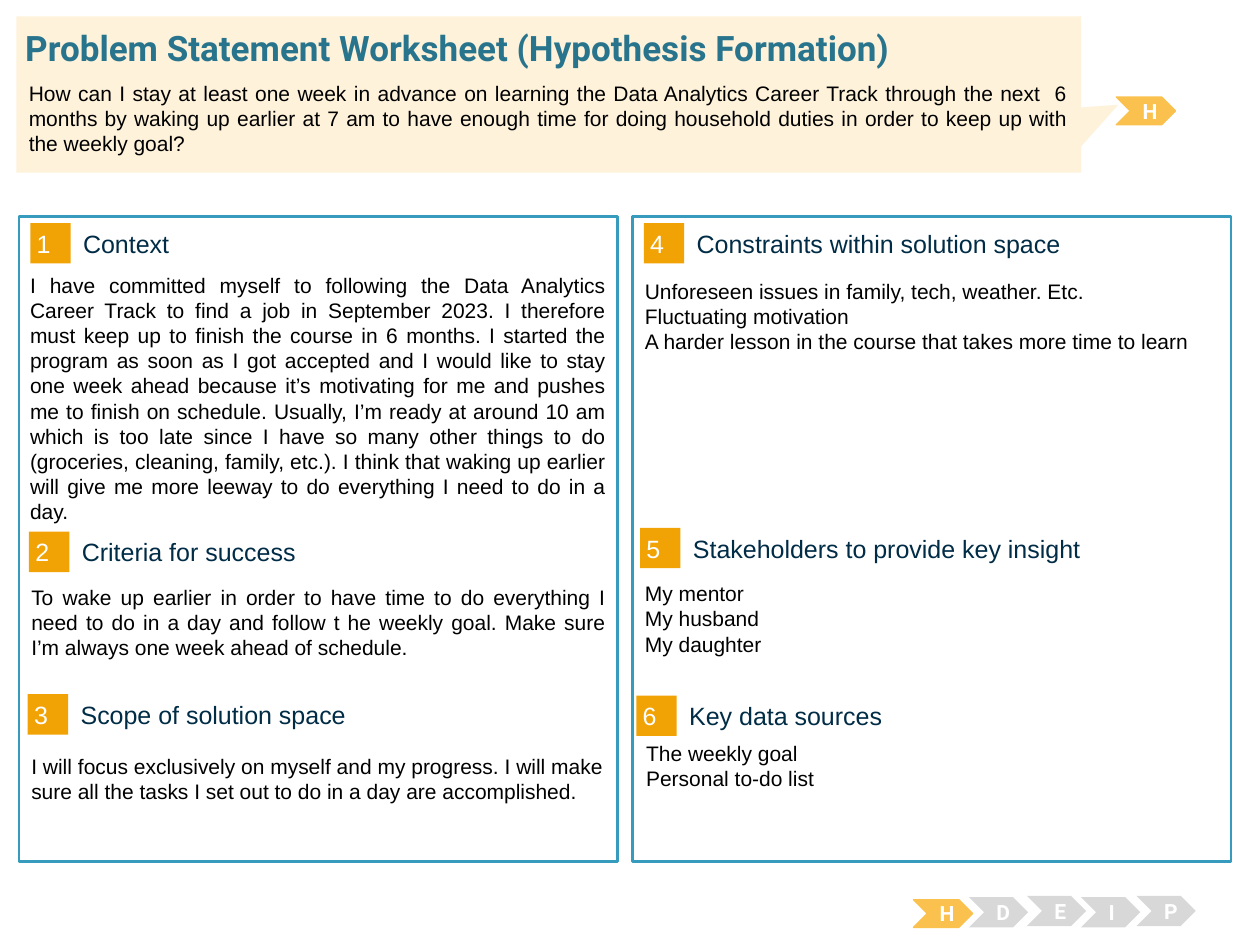
from pptx import Presentation
from pptx.dml.color import RGBColor
from pptx.enum.shapes import MSO_SHAPE as Preset
from pptx.enum.text import MSO_ANCHOR as Anchor, PP_ALIGN as Align
from pptx.util import Inches, Pt


def add_block(preset, place, fill, line=None, width=0.75):
    block = page.shapes.add_shape(preset, *map(Inches, place))
    block.shadow.inherit = False
    block.fill.solid()
    block.fill.fore_color.rgb = RGBColor.from_string(fill)
    if line:
        block.line.color.rgb = RGBColor.from_string(line)
        block.line.width = Pt(width)
    else:
        block.line.fill.background()
    return block


def write(shape, text, size, color, font="Arial", bold=False,
          align=Align.LEFT, anchor=Anchor.TOP, insets=(0.1, 0.05)):
    frame = shape.text_frame
    frame.text = text
    frame.word_wrap = True
    frame.vertical_anchor = anchor
    frame.margin_left = frame.margin_right = Inches(insets[0])
    frame.margin_top = frame.margin_bottom = Inches(insets[1])
    for para in frame.paragraphs:
        para.alignment = align
        for span in para.runs:
            span.font.size = Pt(size)
            span.font.name = font
            span.font.bold = bold
            span.font.color.rgb = RGBColor.from_string(color)


deck = Presentation()
deck.slide_width, deck.slide_height = Inches(10), Inches(7.5)
page = deck.slides.add_slide(deck.slide_layouts[5])

for left in (0.15, 5.02):
    add_block(Preset.RECTANGLE, (left, 1.72, 4.75, 5.12), "FFFFFF", "379BBD", 1.5)

sections = [
    ("Context", 0.24, 1.77),
    ("Criteria for success", 0.23, 4.22),
    ("Scope of solution space", 0.22, 5.51),
    ("Constraints within solution space", 5.11, 1.77),
    ("Stakeholders to provide key insight", 5.08, 4.19),
    ("Key data sources", 5.05, 5.52),
]
for number, (heading, left, top) in enumerate(sections, 1):
    badge = add_block(Preset.RECTANGLE, (left, top, 0.32, 0.32), "F1A205")
    write(badge, str(number), 14.3, "FFFFFF", anchor=Anchor.MIDDLE, insets=(0.05, 0.05))
    label = page.shapes.add_textbox(
        Inches(left + 0.42), Inches(top + 0.035), Inches(3.93), Inches(0.25))
    write(label, heading, 14.3, "002C46", anchor=Anchor.MIDDLE, insets=(0, 0))

chevrons = [
    ("H", 7.25, 7.14), ("D", 7.69, 7.12), ("E", 8.15, 7.11),
    ("I", 8.58, 7.12), ("P", 9.02, 7.11), ("H", 8.86, 0.77),
]
for letter, left, top in chevrons:
    active = letter == "H"
    chevron = add_block(
        Preset.CHEVRON, (left, top, 0.47, 0.22 if active else 0.24),
        "FBC14E" if active else "D8D8D8", "FBC14E" if active else None)
    write(chevron, letter, 12, "FFFFFF", "Roboto", True, Align.CENTER, Anchor.MIDDLE)

callout = add_block(Preset.RECTANGULAR_CALLOUT, (0.13, 0.13, 8.45, 1.24), "FEF2DA")
callout.adjustments[0] = 0.535
callout.adjustments[1] = 0.066

title = page.shapes.title
title.left, title.top, title.width, title.height = map(Inches, (0.2, 0.21, 9.62, 0.34))
write(title, "Problem Statement Worksheet (Hypothesis Formation)", 20, "29748D",
      "Roboto", True, anchor=Anchor.MIDDLE, insets=(0, 0))
callout.element.addnext(title.element)

bodies = [
    ((0.13, 0.59, 8.45, 0.8), Align.JUSTIFY,
     "How can I stay at least one week in advance on learning the Data Analytics "
     "Career Track through the next  6 months by waking up earlier at 7 am to have "
     "enough time for doing household duties in order to keep up with the weekly goal?"),
    ((0.14, 2.11, 4.77, 2.08), Align.JUSTIFY,
     "I have committed myself to following the Data Analytics Career Track to find a "
     "job in September 2023. I therefore must keep up to finish the course in 6 months. "
     "I started the program as soon as I got accepted and I would like to stay one week "
     "ahead because it’s motivating for me and pushes me to finish on schedule. Usually, "
     "I’m ready at around 10 am which is too late since I have so many other things to "
     "do (groceries, cleaning, family, etc.). I think that waking up earlier will give "
     "me more leeway to do everything I need to do in a day."),
    ((0.15, 4.59, 4.76, 0.81), Align.JUSTIFY,
     "To wake up earlier in order to have time to do everything I need to do in a day "
     "and follow t he weekly goal. Make sure I’m always one week ahead of schedule."),
    ((0.15, 5.93, 4.74, 0.76), Align.JUSTIFY,
     "I will focus exclusively on myself and my progress. I will make sure all the "
     "tasks I set out to do in a day are accomplished."),
    ((5.02, 2.16, 4.73, 0.98), Align.LEFT,
     "Unforeseen issues in family, tech, weather. Etc.\nFluctuating motivation\n"
     "A harder lesson in the course that takes more time to learn"),
    ((5.02, 4.56, 4.73, 0.71), Align.LEFT, "My mentor\nMy husband\nMy daughter"),
    ((5.03, 5.83, 4.67, 0.86), Align.LEFT, "The weekly goal\nPersonal to-do list"),
]
for place, align, text in bodies:
    box = page.shapes.add_textbox(*map(Inches, place))
    write(box, text, 12, "000000", align=align)

deck.save("out.pptx")
